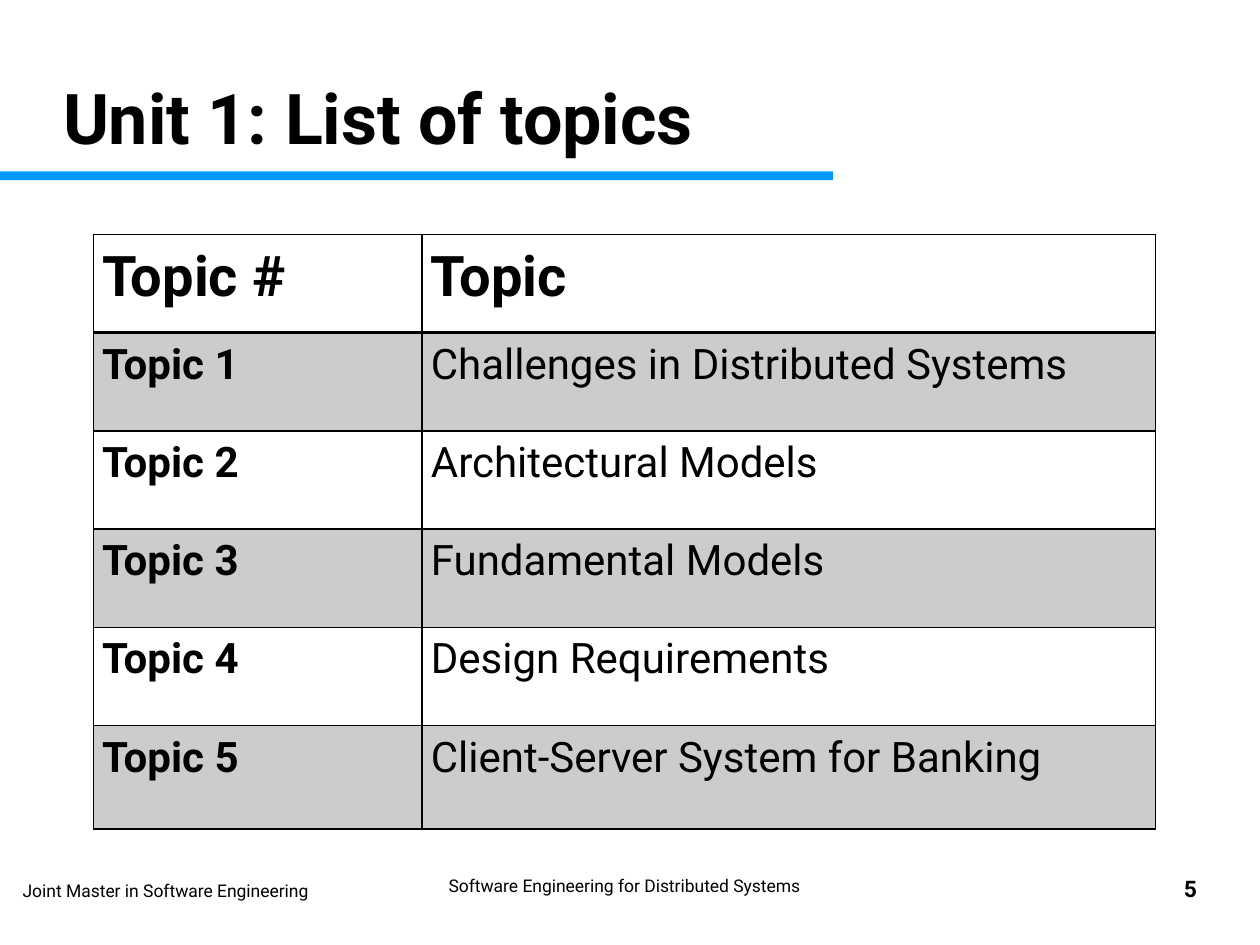
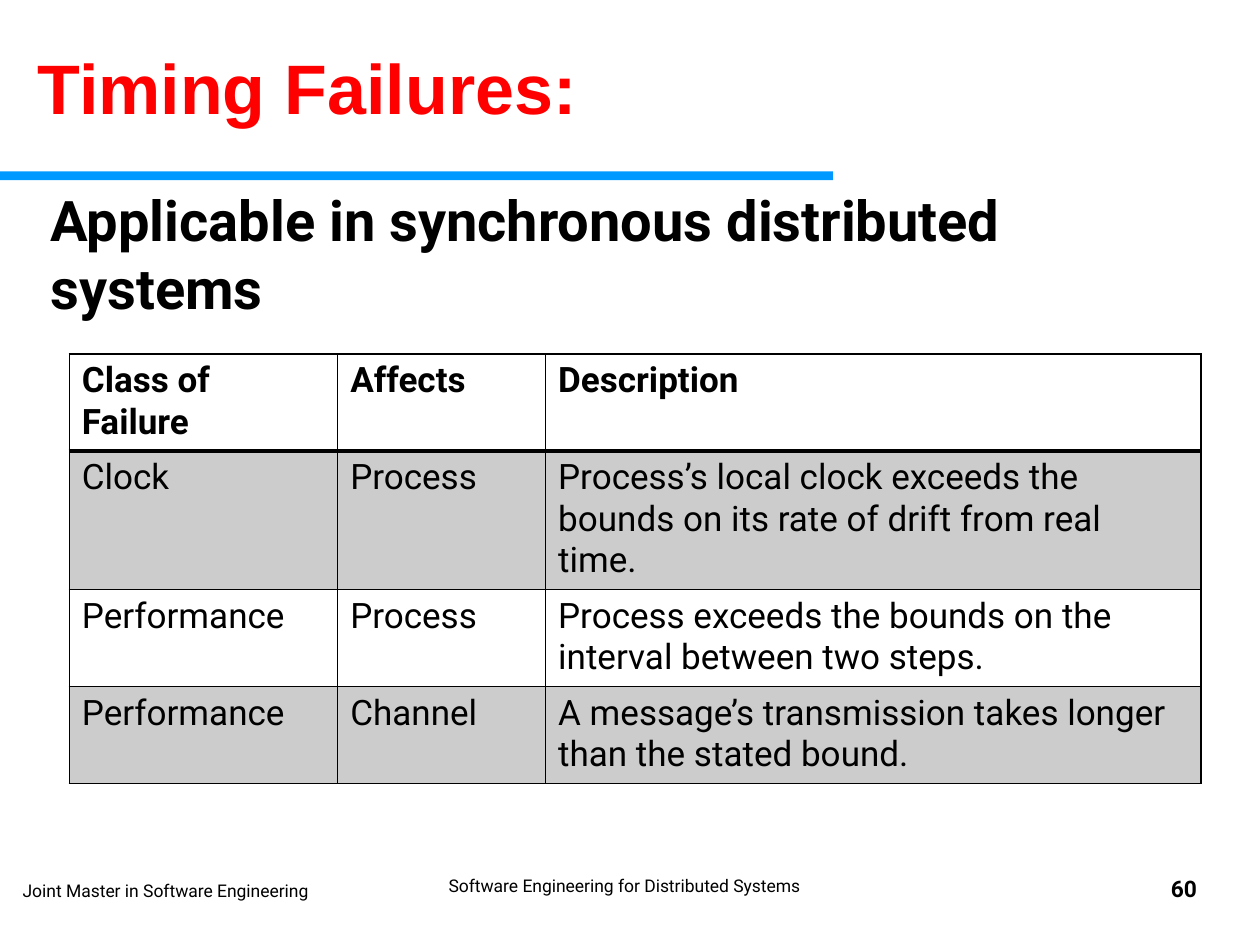
from lxml import etree
from pptx import Presentation
from pptx.dml.color import RGBColor
from pptx.enum.shapes import MSO_SHAPE
from pptx.enum.text import MSO_ANCHOR, MSO_AUTO_SIZE, PP_ALIGN
from pptx.oxml.ns import qn
from pptx.util import Inches, Pt

RECT = MSO_SHAPE.RECTANGLE
TOP, MIDDLE = MSO_ANCHOR.TOP, MSO_ANCHOR.MIDDLE
LEFT, CENTER, RIGHT = PP_ALIGN.LEFT, PP_ALIGN.CENTER, PP_ALIGN.RIGHT
NO_FIT = MSO_AUTO_SIZE.NONE

COLORS = {"text": "000000", "band": "0099FF", "alert": "FF0000", "stripe": "CCCCCC"}
FONT, ALERT_FONT = "Roboto", "Arial"
NO_INSETS = (0, 0, 0, 0)
DEFAULT_INSETS = (0.1, 0.05, 0.1, 0.05)
TOPIC_INSETS = (0.07, 0, 0.07, 0)

TOPICS = [
    "Challenges in Distributed Systems",
    "Architectural Models",
    "Fundamental Models",
    "Design Requirements",
    "Client-Server System for Banking",
]
FAILURES = [
    ("Class of Failure", "Affects", "Description"),
    ("Clock", "Process",
     "Process’s local clock exceeds the bounds on its rate of drift from real time."),
    ("Performance", "Process",
     "Process exceeds the bounds on the interval between two steps."),
    ("Performance", "Channel",
     "A message’s transmission takes longer than the stated bound."),
]


def rgb(name):
    return RGBColor.from_string(COLORS[name])


def set_margins(target, insets):
    for side, inset in zip(("left", "top", "right", "bottom"), insets):
        setattr(target, f"margin_{side}", Inches(inset))


def write(tf, text, size, bold=False, font=FONT, color="text", align=LEFT, spacing=1.01):
    p = tf.paragraphs[0]
    for name, value in {"alignment": align, "line_spacing": spacing,
                        "space_before": Pt(0)}.items():
        setattr(p, name, value)
    r = p.add_run()
    r.text = text
    for name, value in {"size": Pt(size), "bold": bold, "name": font}.items():
        setattr(r.font, name, value)
    r.font.color.rgb = rgb(color)


def fill_text(sp, box, text, size, insets=NO_INSETS, anchor=TOP, **style):
    for name, value in zip(("left", "top", "width", "height"), box):
        setattr(sp, name, Inches(value))
    tf = sp.text_frame
    for name, value in {"word_wrap": True, "auto_size": NO_FIT,
                        "vertical_anchor": anchor}.items():
        setattr(tf, name, value)
    set_margins(tf, insets)
    write(tf, text, size, **style)


def add_text(s, box, text, size, **style):
    sp = s.shapes.add_textbox(*map(Inches, box))
    fill_text(sp, box, text, size, **style)


def remove_bullet(p):
    pPr = p._p.get_or_add_pPr()
    pPr.set("marL", "0")
    pPr.set("indent", "0")
    etree.SubElement(pPr, qn("a:buNone"))


def add_slide(prs, layout, number):
    s = prs.slides.add_slide(prs.slide_layouts.get_by_name(layout))
    band = s.shapes.add_shape(RECT, *map(Inches, (0, 1.36, 6.61, 0.07)))
    band.shadow.inherit = False
    band.fill.solid()
    band.fill.fore_color.rgb = rgb("band")
    band.line.fill.background()
    add_text(s, (0.18, 6.98, 3.17, 0.52), "Joint Master in Software Engineering", 10)
    add_text(s, (3.37, 6.94, 3.17, 0.41), "Software Engineering for Distributed Systems",
             10, align=CENTER)
    add_text(s, (7.17, 6.94, 2.33, 0.41), str(number), 13, bold=True, align=RIGHT)
    return s


def set_borders(cell, widths):
    tcPr = cell._tc.get_or_add_tcPr()
    for side, width in widths.items():
        ln = etree.SubElement(tcPr, qn(f"a:ln{side}"), w=str(Pt(width)))
        fill = etree.SubElement(ln, qn("a:solidFill"))
        etree.SubElement(fill, qn("a:srgbClr"), val=COLORS["text"])


def add_striped_table(s, left, top, widths, heights, rows, insets, style_for, spacing):
    box = (left, top, sum(widths), sum(heights))
    table = s.shapes.add_table(len(rows), len(widths), *map(Inches, box)).table
    table.first_row = table.horz_banding = False
    for column, width in zip(table.columns, widths):
        column.width = Inches(width)
    for i, (row, height) in enumerate(zip(rows, heights)):
        table.rows[i].height = Inches(height)
        for j, text in enumerate(row):
            cell = table.cell(i, j)
            set_margins(cell, insets)
            set_borders(cell, {"L": 1, "R": 1, "T": 2 if i == 1 else 1,
                               "B": 2 if i == 0 else 1})
            if i % 2:
                cell.fill.solid()
                cell.fill.fore_color.rgb = rgb("stripe")
            else:
                cell.fill.background()
            size, bold = style_for(i, j)
            write(cell.text_frame, text, size, bold=bold, spacing=spacing)


def topic_style(i, j):
    return (32 if i == 0 else 24), i == 0 or j == 0


def failure_style(i, j):
    return 20, i == 0


def build_topics(prs):
    s = add_slide(prs, "Title Only", 5)
    fill_text(s.shapes.title, (0.5, 0.3, 9, 1.25), "Unit 1: List of topics", 40,
              anchor=MIDDLE, bold=True)
    rows = [("Topic #", "Topic")]
    rows += [(f"Topic {n}", topic) for n, topic in enumerate(TOPICS, 1)]
    add_striped_table(s, 0.74, 1.86, [2.61, 5.82], [0.78] * 5 + [0.82], rows,
                      TOPIC_INSETS, topic_style, 1.15)


def build_failures(prs):
    s = add_slide(prs, "Title and Content", 60)
    fill_text(s.shapes.title, (0.2, 0.3, 9.69, 0.77), "Timing Failures:", 40,
              insets=DEFAULT_INSETS, bold=True, font=ALERT_FONT, color="alert", spacing=1.0)
    body = s.placeholders[1]
    remove_bullet(body.text_frame.paragraphs[0])
    fill_text(body, (0.4, 1.47, 9, 1.17), "Applicable in synchronous distributed systems",
              32, bold=True)
    add_striped_table(s, 0.55, 2.81, [2.13, 1.65, 5.2], [0.77, 1.1, 0.77, 0.77], FAILURES,
                      DEFAULT_INSETS, failure_style, 1.0)


def main():
    prs = Presentation()
    prs.slide_width, prs.slide_height = Inches(10), Inches(7.5)
    build_topics(prs)
    build_failures(prs)
    prs.save("out.pptx")


if __name__ == "__main__":
    main()
